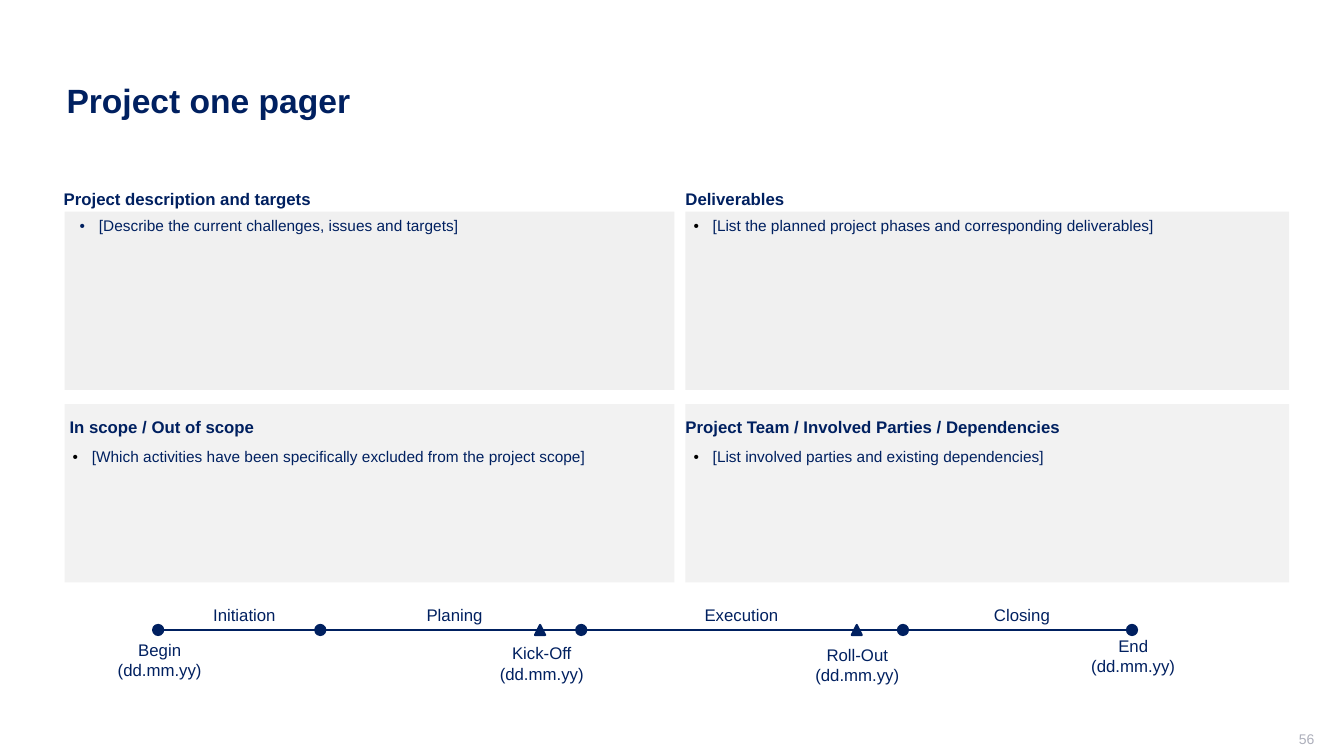
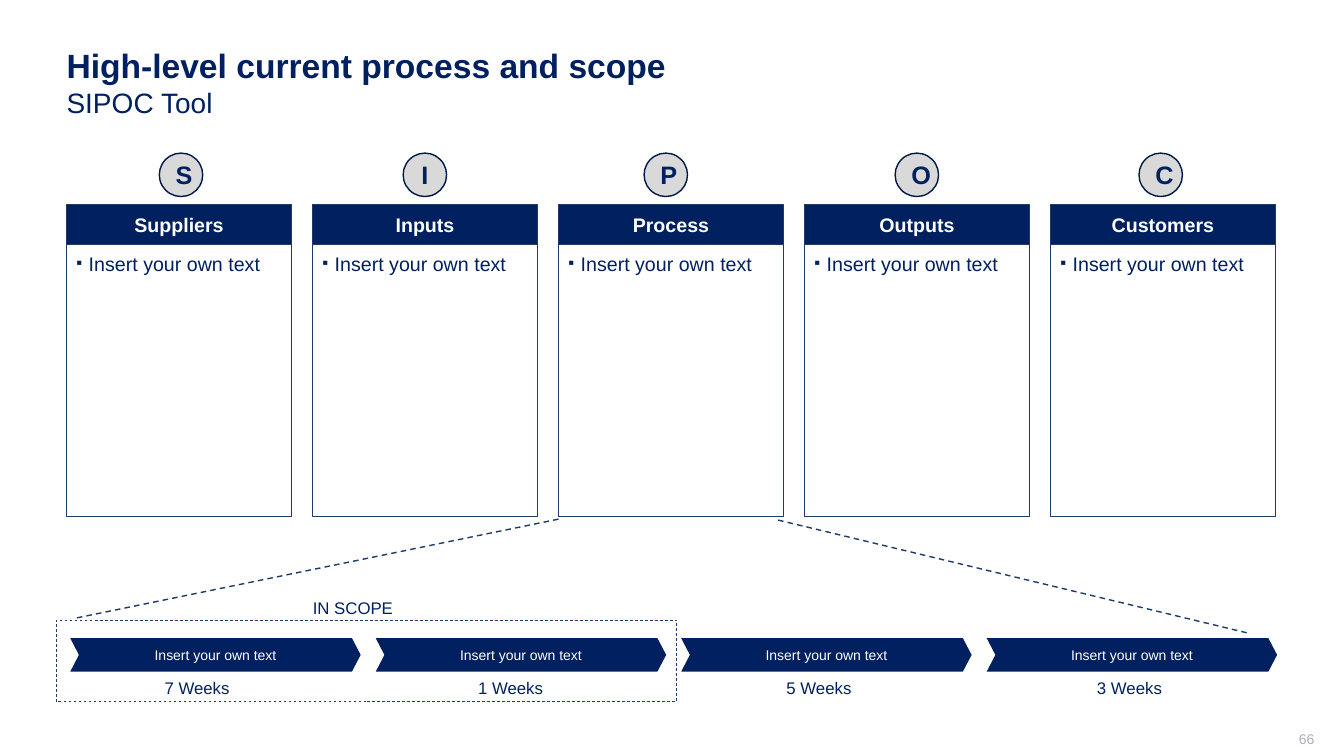
from dataclasses import dataclass

from lxml import etree
from pptx import Presentation
from pptx.dml.color import RGBColor
from pptx.enum.dml import MSO_LINE
from pptx.enum.shapes import MSO_CONNECTOR, MSO_SHAPE
from pptx.enum.text import MSO_ANCHOR, MSO_AUTO_SIZE, PP_ALIGN
from pptx.oxml.ns import qn
from pptx.util import Pt

LEFT, MID, RIGHT = PP_ALIGN.LEFT, PP_ALIGN.CENTER, PP_ALIGN.RIGHT
TOP, CENTER = MSO_ANCHOR.TOP, MSO_ANCHOR.MIDDLE
RECT, OVAL = MSO_SHAPE.RECTANGLE, MSO_SHAPE.OVAL
PEAK, ARROW = MSO_SHAPE.ISOSCELES_TRIANGLE, MSO_SHAPE.CHEVRON
DASH = MSO_LINE.DASH


@dataclass(frozen=True)
class Theme:
    font: str = "Arial"
    navy: str = "002060"
    edge: str = "1D3A6A"
    ring: str = "001847"
    white: str = "FFFFFF"
    black: str = "000000"
    badge: str = "D9D9D9"
    light: str = "F0F0F0"
    pale: str = "F2F2F2"
    faint: str = "ADAFBB"
    title: int = 24
    sub: int = 20
    letter: int = 18
    column: int = 14
    label: int = 12
    item: int = 11
    small: int = 10


T = Theme()

# Slide 1: heading, item, heading left, bullet inset, bullet colour
PANELS = [
    [("Project description and targets",
      "[Describe the current challenges, issues and targets]", 45.5, 5, T.navy),
     ("Deliverables",
      "[List the planned project phases and corresponding deliverables]",
      489.6, 0, T.black)],
    [("In scope / Out of scope",
      "[Which activities have been specifically excluded from the project scope]",
      49.7, 0, T.black),
     ("Project Team / Involved Parties / Dependencies",
      "[List involved parties and existing dependencies]", 489.6, 0, T.black)],
]
# top, fill, top inset, middle of heading
ROWS = [(151.2, T.light, 3.6, 141.8), (288.7, T.pale, 31, 304.6)]
# left, width
COLS = [(46.1, 435.6), (489.6, 431.3)]
PHASES = [("Initiation", 174.6), ("Planing", 324.7),
          ("Execution", 529.6), ("Closing", 730)]
DATE = "(dd.mm.yy)"
# name, middle, top
EVENTS = [("Begin", 114.1, 453.6), ("Kick-Off", 387, 455.8),
          ("Roll-Out", 612.4, 456.8), ("End", 809.5, 450.7)]
DOTS = [113, 228.8, 415.2, 645, 808.6]
PEAKS = [385.8, 612]

# Slide 2
OWN = "Insert your own text"
# name, left of badge
SIPOC = [("Suppliers", 113.8), ("Inputs", 288), ("Process", 460.1),
         ("Outputs", 639.4), ("Customers", 813.6)]
# duration, middle
STEPS = [("7 Weeks", 140.8), ("1 Weeks", 364.7),
         ("5 Weeks", 585), ("3 Weeks", 806.8)]
ZOOM = [((399, 370.8), (54.7, 441.4)), ((555.8, 371.5), (891.4, 452.2))]


def rgb(code):
    return RGBColor.from_string(code)


def add_run(para, text, size, color=T.navy, bold=False):
    run = para.add_run()
    run.text = text
    font = run.font
    font.name, font.size, font.bold = T.font, Pt(size), bold
    font.color.rgb = rgb(color)


def set_frame(shape, inset, anchor):
    """Inset runs left, top, right, bottom."""
    frame = shape.text_frame
    frame.word_wrap = True
    frame.auto_size = MSO_AUTO_SIZE.NONE
    frame.vertical_anchor = anchor
    (frame.margin_left, frame.margin_top,
     frame.margin_right, frame.margin_bottom) = map(Pt, inset)
    return frame


def write(shape, lines, size, color=T.navy, bold=False, align=MID,
          anchor=CENTER, inset=(7.2, 3.6, 7.2, 3.6)):
    frame = set_frame(shape, inset, anchor)
    for i, line in enumerate(lines):
        para = frame.add_paragraph() if i else frame.paragraphs[0]
        para.alignment = align
        add_run(para, line, size, color, bold)
    return frame.paragraphs[0]


def add_bullet(para, mark, left, hang, color, scale=100):
    props = para._p.get_or_add_pPr()
    props.set("marL", str(Pt(left)))
    props.set("indent", str(-Pt(hang)))
    tint = etree.SubElement(props, qn("a:buClr"))
    etree.SubElement(tint, qn("a:srgbClr"), val=color)
    etree.SubElement(props, qn("a:buSzPct"), val=str(scale * 1000))
    etree.SubElement(props, qn("a:buFont"), typeface=T.font)
    etree.SubElement(props, qn("a:buChar"), char=mark)


def draw(slide, kind, box, fill=None, line=None, width=1.0):
    shape = slide.shapes.add_shape(kind, *map(Pt, box))
    shape.shadow.inherit = False
    if fill:
        shape.fill.solid()
        shape.fill.fore_color.rgb = rgb(fill)
    else:
        shape.fill.background()
    if line:
        shape.line.color.rgb = rgb(line)
        shape.line.width = Pt(width)
    else:
        shape.line.fill.background()
    return shape


def join(slide, start, end, color, width, dash=None):
    link = slide.shapes.add_connector(
        MSO_CONNECTOR.STRAIGHT, *map(Pt, start + end))
    link.line.color.rgb = rgb(color)
    link.line.width = Pt(width)
    if dash:
        link.line.dash_style = dash
    etree.SubElement(link._element.spPr, qn("a:effectLst"))


def add_text(slide, box, lines, size, **style):
    shape = slide.shapes.add_textbox(*map(Pt, box))
    write(shape, lines, size, **style)


def add_label(slide, mid, top, *lines):
    add_text(slide, (mid - 50, top, 100, 7.2 + 14.4 * len(lines)),
             lines, T.label, anchor=TOP)


def add_page(deck, title, number, sub=None):
    slide = deck.slides.add_slide(deck.slide_layouts[5])
    head = slide.shapes.title
    head.left, head.top, head.width, head.height = map(
        Pt, (40.3, 28.8, 872, 85.7))
    para = write(head, [title], T.title, bold=True, align=LEFT,
                 anchor=TOP if sub else CENTER)
    if sub:
        para.add_line_break()
        add_run(para, sub, T.sub)
    add_text(slide, (722.9, 522, 216, 15.1), [number], T.small,
             color=T.faint, align=RIGHT, inset=(7.2, 0, 0, 3.6))
    return slide


def add_pager(deck):
    slide = add_page(deck, "Project one pager", "56")
    for (top, fill, pad, mid), row in zip(ROWS, PANELS):
        for (left, width), (head, item, x, shift, color) in zip(COLS, row):
            panel = draw(slide, RECT, (left, top, width, 127.4), fill)
            para = write(panel, [item], T.item, align=LEFT, anchor=TOP,
                         inset=(5.8, pad, 5.8, 3))
            add_bullet(para, "•", 13.7 + shift, 13.7, color)
            add_text(slide, (x, mid - 11, 430, 22), [head], T.label,
                     bold=True, align=LEFT, inset=(0, 3, 0, 3))

    axis, size = 450, 7.2
    join(slide, (DOTS[0], axis), (DOTS[-1], axis), T.navy, 1.5)
    for kind, spots in ((OVAL, DOTS), (PEAK, PEAKS)):
        for x in spots:
            draw(slide, kind, (x - size / 2, axis - size / 2, size, size),
                 T.navy, T.navy, 1.5)
    for name, mid in PHASES:
        add_label(slide, mid, 428.4, name)
    for name, mid, top in EVENTS:
        add_label(slide, mid, top, name, DATE)


def add_sipoc(deck):
    slide = add_page(deck, "High-level current process and scope", "66",
                     "SIPOC Tool")
    for i, (name, spot) in enumerate(SIPOC):
        left, width = 47.5 + 175.7 * i, 160.8
        body = draw(slide, RECT, (left, 174.4, width, 194.4),
                    T.white, T.edge, 0.5)
        para = write(body, [OWN], T.column, align=LEFT, anchor=TOP,
                     inset=(7.2, 3.6, 7.2, 7.2))
        para.line_spacing = 1.1
        add_bullet(para, "▪", 8.8, 8.8, T.navy, 85)
        head = draw(slide, RECT, (left, 146.2, width, 28.2),
                    T.navy, T.edge, 0.75)
        write(head, [name], T.column, T.white, True)
        badge = draw(slide, OVAL, (spot, 109.4, 31, 31), T.badge, T.ring)
        write(badge, [name[0]], T.letter, bold=True)

    for start, end in ZOOM:
        join(slide, start, end, T.edge, 1, DASH)
    scope = draw(slide, RECT, (40.3, 442.8, 442.8, 58.5), None, T.edge, 0.5)
    scope.line.dash_style = DASH
    add_label(slide, 252.1, 423.4, "IN SCOPE")
    for i, (weeks, mid) in enumerate(STEPS):
        step = draw(slide, ARROW, (50.2 + 218.2 * i, 455.9, 207.4, 23.8),
                    T.navy)
        step.adjustments[0] = 0.26
        write(step, [OWN], T.small, T.white, inset=(0, 0, 0, 0))
        add_label(slide, mid, 480.4, weeks)


def main():
    deck = Presentation()
    deck.slide_width, deck.slide_height = Pt(960), Pt(540)
    add_pager(deck)
    add_sipoc(deck)
    deck.save("out.pptx")


if __name__ == "__main__":
    main()
